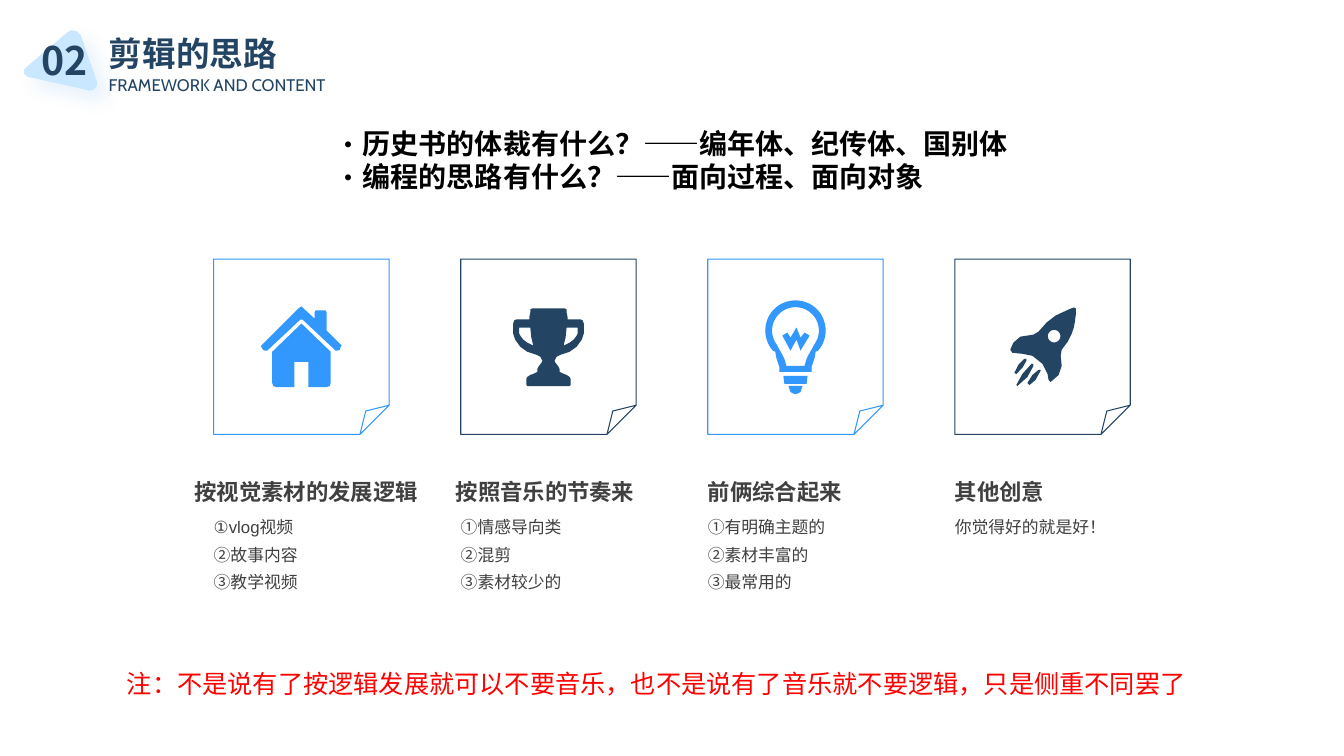
from math import cos, radians, sin

from lxml.etree import SubElement
from pptx import Presentation
from pptx.dml.color import RGBColor
from pptx.enum.shapes import MSO_SHAPE
from pptx.enum.text import MSO_ANCHOR, MSO_AUTO_SIZE, PP_ALIGN
from pptx.oxml.ns import qn
from pptx.util import Inches, Pt

COLORS = {"navy": "234463", "blue": "3298FD", "pale": "C9E7FF", "glow": "177DE3",
          "gray": "404040", "black": "000000", "red": "FF0000"}
CJK = "Noto Sans CJK SC"


def arc(cx, cy, radius, start, end, step=6):
    """Points of a circular arc, angles in degrees, clockwise."""
    return [(cx + radius * cos(radians(a)), cy + radius * sin(radians(a)))
            for a in range(start, end + 1, step)]


def mirrored(right_half, width):
    """Close a symmetric outline from its right half, listed top to bottom."""
    return right_half + [(width - x, y) for x, y in reversed(right_half)]


# Outlines in hundredths of an inch
BADGE = [[(57, 7), (73, 53), (73, 57), (70, 61), (66, 62), (62, 61), (8, 49), (4, 48),
          (1, 45), (1, 41), (4, 38), (44, 4), (48, 2), (53, 3)]]

HOUSE = [
    [(79, 38), (80, 39), (79, 40), (78, 43), (76, 44), (74, 44), (73, 43), (41, 13),
     (39, 13), (7, 43), (6, 44), (4, 44), (2, 43), (0, 40), (0, 39), (1, 38), (37, 2),
     (40, 0), (42, 2), (53, 12), (53, 6), (54, 4), (64, 4), (65, 6), (65, 24)],
    [(69, 45), (69, 76), (68, 79), (65, 80), (47, 80), (47, 55), (33, 55), (33, 80),
     (15, 80), (12, 79), (11, 76), (11, 45), (40, 17)],
]

CUP_HANDLE = [(64, 19), (53, 19), (52, 29), (50, 37), (56, 34), (60, 31), (63, 27), (64, 25)]
TROPHY = [
    mirrored([(49, 0), (51, 0), (53, 1), (53, 4), (54, 9), (54, 11), (67, 11), (69, 12),
              (70, 15), (70, 25), (68, 31), (63, 38), (56, 43), (47, 46), (43, 48),
              (41, 52), (42, 54), (45, 58), (46, 60), (46, 63), (50, 65), (53, 66),
              (56, 68), (57, 70), (57, 76), (56, 77)], 70),
    CUP_HANDLE,
    [(70 - x, y) for x, y in CUP_HANDLE],
]

BULB = [
    mirrored(arc(30, 30, 30, -90, 42) + [(50, 51), (49, 57), (47, 63), (46, 66), (46, 71)], 60),
    mirrored(arc(30, 30, 23.2, -90, 36) + [(47, 47), (43, 54), (41, 58), (39, 65)], 60),
    mirrored([(42, 75), (41, 83)], 60),
    mirrored([(37, 85), (35, 91), (31, 93)], 60),
    [(35, 37), (31, 27), (25, 37), (22, 32), (17, 35), (25, 50), (31, 39), (35, 50),
     (44, 35), (39, 32)],
]

ROCKET = [
    [(63, 0), (65, 1), (65, 7), (64, 15), (63, 20), (61, 26), (57, 34), (51, 42), (50, 48),
     (51, 58), (48, 67), (40, 74), (38, 72), (37, 66), (32, 56), (22, 48), (12, 46),
     (2, 45), (0, 42), (3, 35), (10, 29), (23, 27), (28, 24), (36, 15), (45, 8), (58, 2)],
    arc(43.5, 28.5, 6.2, 0, 354),
    [(30, 62), (30, 63), (25, 72), (19, 77), (17, 75), (22, 67), (28, 62)],
    [(23, 56), (23, 58), (17, 69), (7, 78), (6, 77), (12, 66), (21, 56)],
    [(16, 51), (16, 53), (12, 60), (6, 66), (4, 65), (8, 57), (14, 51)],
]


class Deck:
    """Holds the style and the current slide."""

    def __init__(self):
        self.prs = Presentation()
        self.prs.slide_width, self.prs.slide_height = Inches(13.33), Inches(7.5)
        self.slide = self.prs.slides.add_slide(self.prs.slide_layouts[1])

    def color(self, name):
        return RGBColor.from_string(COLORS[name])

    def text(self, box, lines, size, color, font=CJK, bold=False, align=PP_ALIGN.LEFT,
             inset=None, spacing=1.0, gap=0, bullet=None, holder=None):
        left, top, width, height = [Inches(v) for v in box]
        shape = holder or self.slide.shapes.add_textbox(left, top, width, height)
        shape.left, shape.top, shape.width, shape.height = left, top, width, height
        frame = shape.text_frame
        frame.word_wrap = True
        frame.auto_size = MSO_AUTO_SIZE.SHAPE_TO_FIT_TEXT
        frame.vertical_anchor = MSO_ANCHOR.TOP
        if inset is not None:
            frame.margin_left = frame.margin_right = Inches(inset)
            frame.margin_top = frame.margin_bottom = Inches(inset)
        frame.text = "\n".join(lines)
        for index, paragraph in enumerate(frame.paragraphs):
            paragraph.alignment = align
            paragraph.line_spacing = spacing
            paragraph.space_before = Pt(gap if index else 0)
            if bullet:
                self.bullet(paragraph, bullet, size)
            style = paragraph.font
            style.name, style.size, style.bold = font, Pt(size), bold
            style.color.rgb = self.color(color)
            defaults = paragraph._p.pPr.find(qn("a:defRPr"))
            SubElement(defaults, qn("a:ea"), typeface=CJK)

    def bullet(self, paragraph, char, size):
        props = paragraph._p.get_or_add_pPr()
        props.set("marL", str(Pt(size)))
        props.set("indent", str(-Pt(size)))
        SubElement(props, qn("a:buFont"), typeface=CJK)
        SubElement(props, qn("a:buChar"), char=char)

    def outline(self, left, top, contours, color):
        """Fill contours given in hundredths of an inch; inner ones become holes."""
        scaled = [[(x * 10, y * 10) for x, y in contour] for contour in contours]
        builder = self.slide.shapes.build_freeform(*scaled[0][0], scale=Inches(1) / 1000)
        for index, contour in enumerate(scaled):
            if index:
                builder.move_to(*contour[0])
            builder.add_line_segments(contour[1:], close=True)
        shape = builder.convert_to_shape(Inches(left), Inches(top))
        shape.shadow.inherit = False
        shape.fill.solid()
        shape.fill.fore_color.rgb = self.color(color)
        shape.line.fill.background()
        return shape

    def glow(self, shape, color, alpha, blur, distance, angle):
        effects = shape._element.spPr.find(qn("a:effectLst"))
        shadow = SubElement(effects, qn("a:outerShdw"), blurRad=str(Pt(blur)),
                            dist=str(Pt(distance)), dir=str(angle * 60000),
                            algn="tl", rotWithShape="0")
        tint = SubElement(shadow, qn("a:srgbClr"), val=COLORS[color])
        SubElement(tint, qn("a:alpha"), val=str(alpha * 1000))

    def note(self, left, top, side, color):
        shape = self.slide.shapes.add_shape(MSO_SHAPE.FOLDED_CORNER, Inches(left), Inches(top),
                                            Inches(side), Inches(side))
        shape.shadow.inherit = False
        shape.fill.background()
        shape.line.color.rgb = self.color(color)
        shape.line.width = Pt(0.75)


def main():
    deck = Deck()
    heading, questions = deck.slide.placeholders

    # Header
    badge = deck.outline(0.23, 0.28, BADGE, "pale")
    deck.glow(badge, "glow", alpha=10, blur=13, distance=10, angle=45)
    deck.text((0.23, 0.31, 0.82, 0.57), ["02"], 28, "navy", bold=True, align=PP_ALIGN.CENTER)
    deck.text((0.98, 0.28, 3, 0.5), ["剪辑的思路"], 24, "navy", bold=True, holder=heading)
    deck.text((0.98, 0.69, 2.75, 0.3), ["FRAMEWORK AND CONTENT"], 12, "navy", font="Cabin")

    # Opening questions
    deck.text((3.22, 1.2, 8.42, 0.77),
              ["历史书的体裁有什么？——编年体、纪传体、国别体", "编程的思路有什么？——面向过程、面向对象"],
              20, "black", bold=True, bullet="·", holder=questions)

    # Four approaches: color, icon, icon offset in the note, caption, caption shift and width, points
    approaches = [
        ("blue", HOUSE, (0.47, 0.47), "按视觉素材的发展逻辑", -0.19, 2.32,
         ["①vlog视频", "②故事内容", "③教学视频"]),
        ("navy", TROPHY, (0.52, 0.49), "按照音乐的节奏来", -0.05, 2.05,
         ["①情感导向类", "②混剪", "③素材较少的"]),
        ("blue", BULB, (0.57, 0.41), "前俩综合起来", 0, 1.5,
         ["①有明确主题的", "②素材丰富的", "③最常用的"]),
        ("navy", ROCKET, (0.55, 0.48), "其他创意", 0, 1.5, ["你觉得好的就是好！"]),
    ]
    top, side = 2.57, 1.74
    for column, (color, icon, offset, caption, shift, width, points) in enumerate(approaches):
        left = 2.12 + 2.45 * column
        deck.note(left, top, side, color)
        deck.outline(left + offset[0], top + offset[1], icon, color)
        deck.text((left + shift, 4.69, width, 0.32), [caption], 16, "gray", font="Arial",
                  bold=True, inset=0, spacing=1.2)
        deck.text((left, 5.09, side, 0.27 * len(points)), points, 12, "gray", font="Arial",
                  inset=0, spacing=1.2, gap=2.4)

    # Closing remark
    deck.text((1.16, 6.58, 11.7, 0.4),
              ["注：不是说有了按逻辑发展就可以不要音乐，也不是说有了音乐就不要逻辑，只是侧重不同罢了"],
              18, "red")

    deck.prs.save("out.pptx")


if __name__ == "__main__":
    main()
